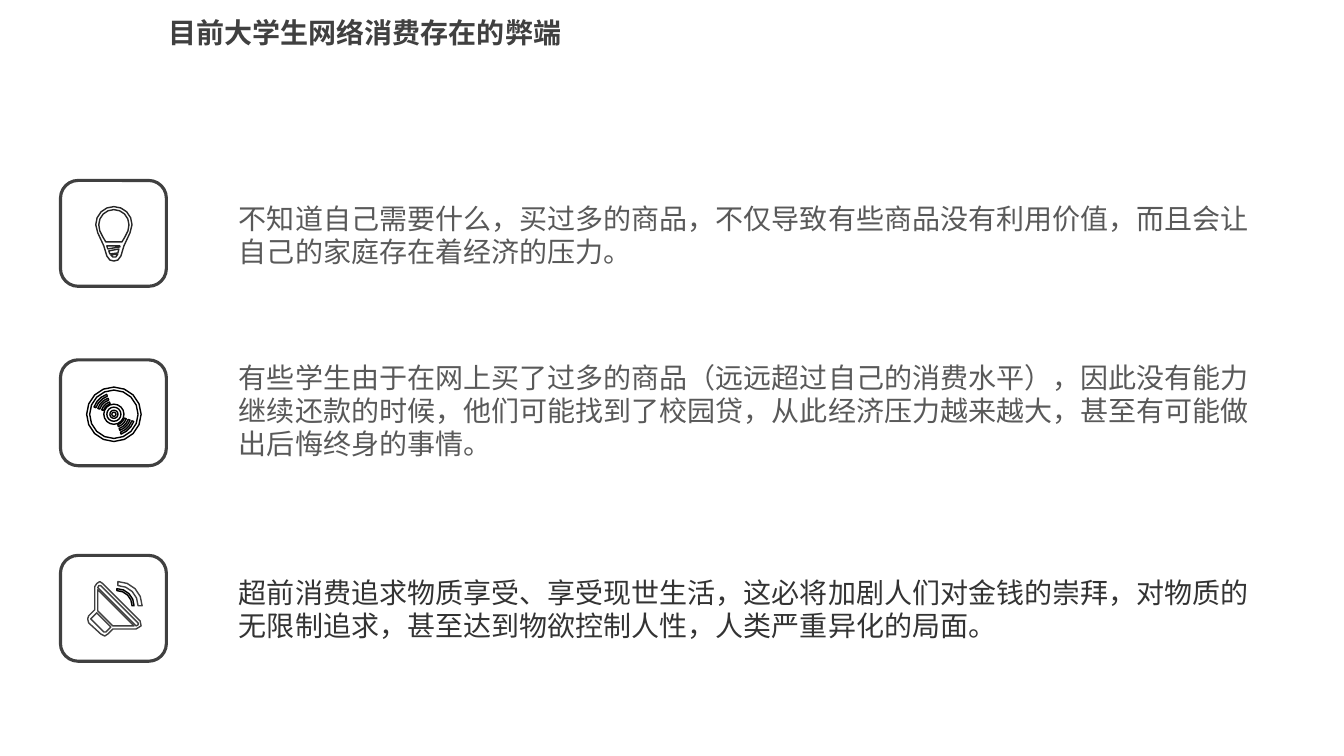
from math import ceil, cos, radians, sin

from lxml.etree import SubElement
from pptx import Presentation
from pptx.dml.color import RGBColor
from pptx.enum.shapes import MSO_SHAPE
from pptx.enum.text import MSO_ANCHOR, PP_ALIGN
from pptx.oxml.ns import qn
from pptx.util import Inches, Pt

HUES = {"white": "FFFFFF", "black": "000000", "ink": "262626",
        "frame": "404040", "gray": "595959", "dark": "333333"}


def arc(x, y, r, start, end):
    steps = ceil(abs(end - start) / 22.5)
    turns = [radians(start + (end - start) * n / steps)
             for n in range(steps + 1)]
    return [(x + r * cos(t), y + r * sin(t)) for t in turns]


def trace(group, hue, *rings):
    rings = [[(Inches(x), Inches(y)) for x, y in ring] for ring in rings]
    pen = group.shapes.build_freeform(*rings[0][0], scale=1.0)
    for ring in rings:
        if ring is not rings[0]:
            pen.move_to(*ring[0])
        pen.add_line_segments(ring[1:], close=True)
    shape = pen.convert_to_shape()
    shape.shadow.inherit = False
    shape.fill.solid()
    shape.fill.fore_color.rgb = RGBColor.from_string(HUES["white"])
    if hue:
        shape.line.color.rgb = RGBColor.from_string(HUES[hue])
        shape.line.width = Pt(1)
    else:
        shape.line.fill.background()


deck = Presentation()
deck.slide_width, deck.slide_height = Inches(13.33), Inches(7.5)
slide = deck.slides.add_slide(deck.slide_layouts[5])

veil = slide.shapes.add_shape(MSO_SHAPE.RECTANGLE, 0, 0,
                              deck.slide_width, deck.slide_height)
veil.shadow.inherit = False
veil.line.fill.background()
veil.fill.solid()
veil.fill.fore_color.rgb = RGBColor.from_string(HUES["white"])
tint = veil._element.spPr.find(qn("a:solidFill"))[0]
SubElement(tint, qn("a:alpha")).set("val", "40000")
slide.shapes._spTree.insert(2, veil._element)

title = slide.shapes.title
title.left, title.top = Inches(1.57), Inches(0.11)
title.width, title.height = Inches(4.35), Inches(0.44)
title.text_frame.text = "目前大学生网络消费存在的弊端"
title.text_frame.vertical_anchor = MSO_ANCHOR.TOP
texts = [(title, "Noto Sans CJK JP", "frame", True)]

groups = []
for top in (1.79, 3.57, 5.51):
    group = slide.shapes.add_group_shape()
    frame = group.shapes.add_shape(MSO_SHAPE.ROUNDED_RECTANGLE, Inches(0.6),
                                   Inches(top), Inches(1.05), Inches(1.05))
    frame.shadow.inherit = False
    frame.fill.background()
    frame.line.color.rgb = RGBColor.from_string(HUES["frame"])
    frame.line.width = Pt(2.25)
    groups.append(group)
bulb, disc, horn = groups

trace(bulb, "ink",
      arc(1.13, 2.23, 0.18, 180, 360)
      + [(1.29, 2.31), (1.23, 2.44), (1.2, 2.54), (1.17, 2.58), (1.13, 2.59),
         (1.09, 2.58), (1.06, 2.54), (1.03, 2.44), (0.97, 2.31)],
      arc(1.13, 2.23, 0.15, 180, 360)
      + [(1.27, 2.29), (1.24, 2.35), (1.21, 2.4),
         (1.05, 2.4), (1.02, 2.35), (0.99, 2.29)],
      [(1.06, 2.44), (1.19, 2.44), (1.19, 2.45), (1.07, 2.47)],
      [(1.08, 2.49), (1.18, 2.47), (1.17, 2.51), (1.09, 2.52)],
      [(1.1, 2.53), (1.17, 2.52), (1.15, 2.55), (1.12, 2.55)])
trace(bulb, None, arc(1.14, 2.24, 0.1, 180, 270)
      + arc(1.14, 2.24, 0.09, 270, 180))

for outer, inner in ((0.27, 0.24), (0.04, 0.02), (0.1, 0.07)):
    trace(disc, "black", arc(1.13, 4.11, outer, 0, 360),
          arc(1.13, 4.11, inner, 0, 360))
for start in (20, 200):
    for r in (0.11, 0.19, 0.15):
        trace(disc, "black", arc(1.13, 4.11, r, start, start + 50)
              + arc(1.13, 4.11, r + 0.02, start + 50, start))

trace(horn, "black", arc(1.16, 6.01, 0.15, -90, 0)
      + arc(1.16, 6.01, 0.17, 0, -90))
trace(horn, "frame",
      [(1.02, 5.79), (0.99, 5.77), (0.96, 5.79), (0.94, 5.82), (0.94, 6.05),
       (0.88, 6.11), (0.87, 6.14), (0.88, 6.18), (1, 6.29), (1.04, 6.31),
       (1.07, 6.29), (1.12, 6.24), (1.35, 6.24), (1.4, 6.21), (1.39, 6.16)],
      [(1.37, 6.2), (1.35, 6.21), (0.97, 5.83), (0.98, 5.81),
       (1, 5.81), (1.37, 6.18)],
      [(0.97, 5.85), (1.33, 6.21), (1.12, 6.21), (0.97, 6.06)],
      [(1.1, 6.22), (1.05, 6.27), (1.03, 6.27), (0.91, 6.15),
       (0.9, 6.14), (0.96, 6.08)])
trace(horn, "frame", arc(1.17, 6.01, 0.2, -90, 0)
      + arc(1.17, 6.01, 0.24, 0, -90))

notes = [
    (1.8, 1.07, "Lato", "gray",
     "不知道自己需要什么，买过多的商品，不仅导致有些商品没有利用价值，"
     "而且会让自己的家庭存在着经济的压力。"),
    (3.56, 1.02, "Lato", "gray",
     "有些学生由于在网上买了过多的商品（远远超过自己的消费水平），"
     "因此没有能力继续还款的时候，他们可能找到了校园贷，"
     "从此经济压力越来越大，甚至有可能做出后悔终身的事情。"),
    (5.85, 0.39, "Noto Sans CJK SC", "dark",
     "超前消费追求物质享受、享受现世生活，这必将加剧人们对金钱的崇拜，"
     "对物质的无限制追求，甚至达到物欲控制人性，人类严重异化的局面。"),
]
for top, high, face, hue, words in notes:
    box = slide.shapes.add_textbox(Inches(2.37), Inches(top),
                                   Inches(10.1), Inches(high))
    body = box.text_frame
    body.text = words
    body.vertical_anchor = MSO_ANCHOR.MIDDLE
    body.margin_left = body.margin_right = 0
    body.margin_top = body.margin_bottom = Inches(0.11)
    texts.append((box, face, hue, False))

for shape, face, hue, bold in texts:
    shape.text_frame.word_wrap = True
    para = shape.text_frame.paragraphs[0]
    para.alignment = PP_ALIGN.LEFT
    para.line_spacing = Pt(23.7)
    run = para.runs[0]
    run.font.name, run.font.size, run.font.bold = face, Pt(20), bold
    run.font.color.rgb = RGBColor.from_string(HUES[hue])
    asian = SubElement(run.font._element, qn("a:ea"))
    asian.set("typeface", "Noto Sans CJK SC" if face == "Lato" else face)

deck.save("out.pptx")
